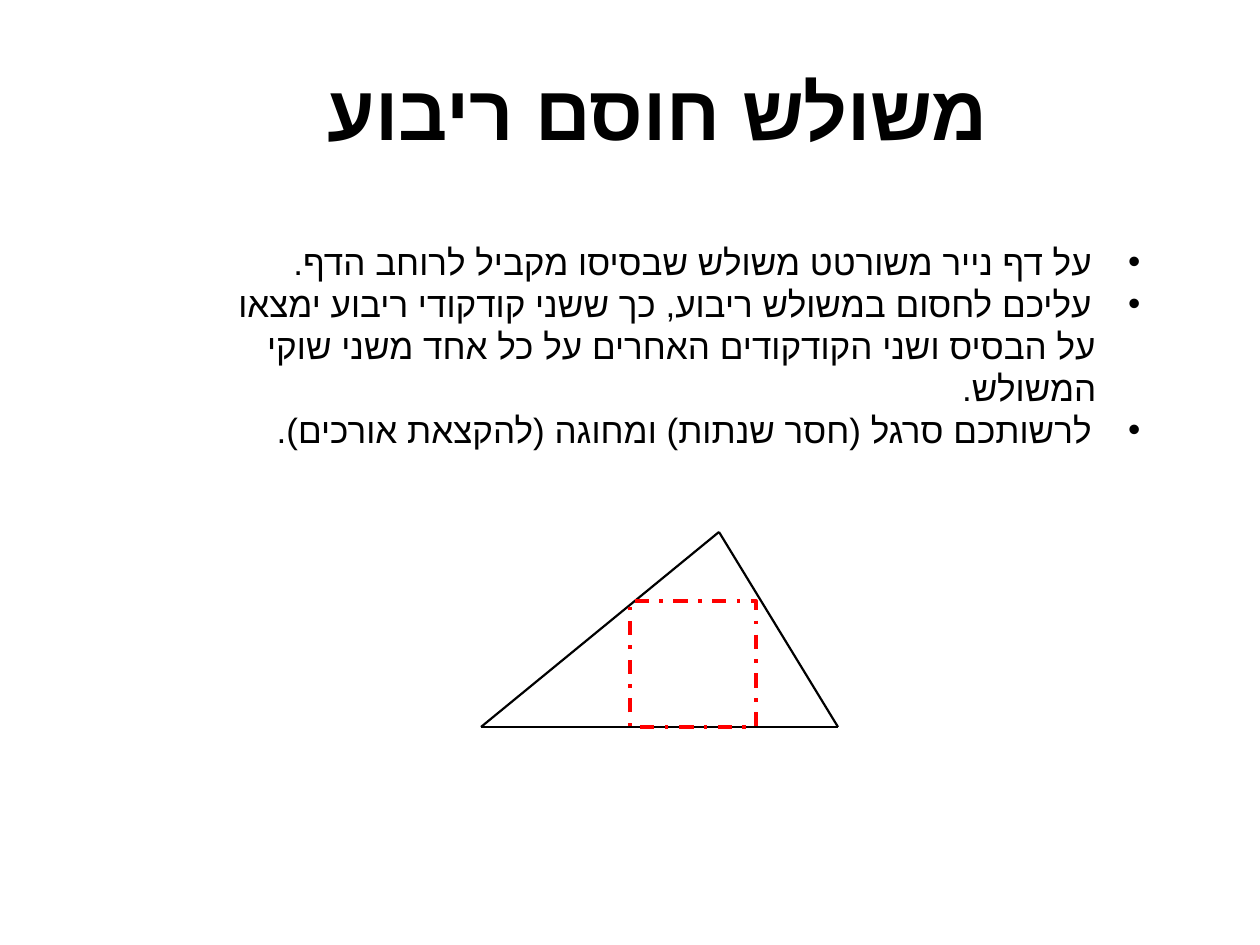
from pptx import Presentation
from pptx.dml.color import RGBColor
from pptx.enum.dml import MSO_LINE_DASH_STYLE as Dash
from pptx.enum.shapes import MSO_CONNECTOR as Connector, MSO_SHAPE as Shape
from pptx.enum.text import MSO_ANCHOR as Anchor, MSO_AUTO_SIZE as AutoSize, PP_ALIGN as Align
from pptx.oxml.ns import qn
from pptx.util import Emu, Pt
from lxml.etree import SubElement

TITLE = "משולש חוסם ריבוע"
TASK = [
    ("•", "על דף נייר משורטט משולש שבסיסו מקביל לרוחב הדף."),
    ("•", "עליכם לחסום במשולש ריבוע, כך ששני קודקודי ריבוע ימצאו"),
    ("", "על הבסיס ושני הקודקודים האחרים על כל אחד משני שוקי"),
    ("", "המשולש."),
    ("•", "לרשותכם סרגל (חסר שנתות) ומחוגה (להקצאת אורכים)."),
]
TITLE_BOX = (233, 38, 850, 144)
TASK_BOX = (63, 234, 1090, 323)
TRIANGLE = [(481, 727), (838, 727), (719, 532)]
SQUARE = (630, 601, 126, 126)
HANGING, CONTINUED = 48, 44
FONT, BLACK, RED = "Arial", "000000", "FF0000"


def px(length):
    return Emu(length * 914400 // 126)


def color(value):
    return RGBColor.from_string(value)


def place(placeholder, box, anchor, fit):
    placeholder.left, placeholder.top, placeholder.width, placeholder.height = map(px, box)
    frame = placeholder.text_frame
    frame.word_wrap = True
    frame.vertical_anchor = anchor
    frame.auto_size = fit
    return frame


def write(paragraph, text, size, align, bold=False):
    paragraph.alignment = align
    paragraph.space_before = Pt(0)
    properties = paragraph._p.get_or_add_pPr()
    properties.set("rtl", "1")
    run = paragraph.add_run()
    run.text = text
    run.font.size, run.font.bold, run.font.name = Pt(size), bold, FONT
    run.font.color.rgb = color(BLACK)
    SubElement(run._r.get_or_add_rPr(), qn("a:cs"), typeface=FONT)
    return properties


def set_bullet(properties, bullet):
    margin, indent = (HANGING, -HANGING) if bullet else (CONTINUED, 0)
    properties.set("marL", str(px(margin)))
    properties.set("indent", str(px(indent)))
    if bullet:
        SubElement(properties, qn("a:buChar"), char=bullet)
    else:
        SubElement(properties, qn("a:buNone"))


deck = Presentation()
deck.slide_width, deck.slide_height = px(1260), px(945)
slide = deck.slides.add_slide(deck.slide_layouts[1])
title, task = slide.placeholders

heading = place(title, TITLE_BOX, Anchor.MIDDLE, AutoSize.NONE)
write(heading.paragraphs[0], TITLE, 44, Align.CENTER, bold=True)

body = place(task, TASK_BOX, Anchor.TOP, AutoSize.SHAPE_TO_FIT_TEXT)
for index, (bullet, text) in enumerate(TASK):
    paragraph = body.add_paragraph() if index else body.paragraphs[0]
    set_bullet(write(paragraph, text, 20, Align.RIGHT), bullet)

for start, end in zip(TRIANGLE, TRIANGLE[1:] + TRIANGLE[:1]):
    side = slide.shapes.add_connector(Connector.STRAIGHT, *map(px, start + end))
    side.line.color.rgb = color(BLACK)
    side.line.width = Pt(1.25)
    SubElement(side._element.spPr, qn("a:effectLst"))

square = slide.shapes.add_shape(Shape.RECTANGLE, *map(px, SQUARE))
square.shadow.inherit = False
square.fill.background()
square.line.color.rgb = color(RED)
square.line.width = Pt(2)
square.line.dash_style = Dash.DASH_DOT

deck.save("out.pptx")
